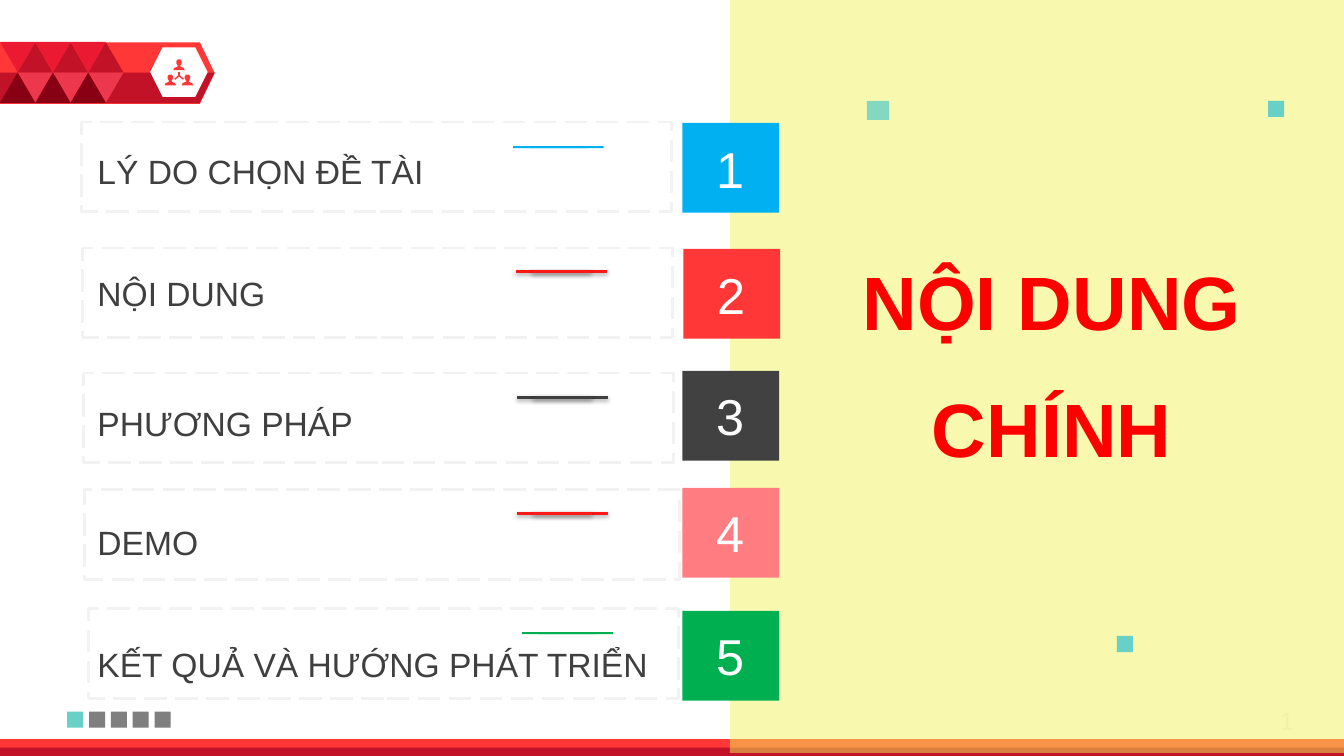
from dataclasses import dataclass
from lxml.etree import SubElement
from pptx import Presentation
from pptx.dml.color import RGBColor
from pptx.enum.dml import MSO_LINE
from pptx.enum.shapes import MSO_CONNECTOR, MSO_SHAPE
from pptx.enum.text import MSO_ANCHOR, MSO_AUTO_SIZE, PP_ALIGN
from pptx.oxml.ns import qn
from pptx.util import Inches, Pt

CELL = Inches(1 / 3)  # the slide is a grid of 40 columns by 22.5 rows
COLS, ROWS = 40, 22.5

WHITE = RGBColor(0xFF, 0xFF, 0xFF)
RED = RGBColor(0xFF, 0x37, 0x37)
DEEP = RGBColor(0xC2, 0x12, 0x27)
MAROON = RGBColor(0x88, 0x00, 0x14)
CRIMSON = RGBColor(0xEB, 0x19, 0x32)
ROSE = RGBColor(0xED, 0x37, 0x4D)
PINK = RGBColor(0xFF, 0x7C, 0x80)
BRIGHT = RGBColor(0xFF, 0x18, 0x18)
TITLE = RGBColor(0xFF, 0x00, 0x00)
BLUE = RGBColor(0x00, 0xB0, 0xF0)
GREEN = RGBColor(0x00, 0xB0, 0x50)
DARK = RGBColor(0x41, 0x41, 0x41)
INK = RGBColor(0x3F, 0x3F, 0x3F)
GRAY = RGBColor(0x7F, 0x7F, 0x7F)
PALE = RGBColor(0xF2, 0xF2, 0xF2)
TEAL = RGBColor(0x68, 0xD0, 0xC6)
YELLOW = RGBColor(0xF1, 0xF4, 0x5B)


@dataclass
class Topic:
    text: str
    gap: float  # points above the line
    fill: RGBColor
    tile: tuple[float, float]
    frame: tuple[float, float, float]
    bar: tuple[float, float]  # centre
    ink: RGBColor
    raised: bool = False


TOPICS = [
    Topic("LÝ DO CHỌN ĐỀ TÀI", 0, BLUE, (20.31, 3.66),
          (2.43, 3.63, 17.55), (16.62, 4.38), BLUE),
    Topic("NỘI DUNG", 58, RED, (20.34, 7.41),
          (2.46, 7.38, 17.55), (16.71, 8.07), BRIGHT, True),
    Topic("PHƯƠNG PHÁP", 64, DARK, (20.31, 11.04),
          (2.49, 11.1, 17.55), (16.74, 11.82), INK, True),
    Topic("DEMO", 56.5, PINK, (20.31, 14.52),
          (2.52, 14.58, 17.7), (16.74, 15.27), BRIGHT, True),
    Topic("KẾT QUẢ VÀ HƯỚNG PHÁT TRIỂN", 58, GREEN, (20.31, 18.18),
          (2.64, 18.12, 17.55), (16.89, 18.84), GREEN),
]


def cells(*sides: float) -> list[int]:
    return [round(side * CELL) for side in sides]


def style(item, **traits) -> None:
    for name, value in traits.items():
        setattr(item, name, value)


def paint(shape, fill: RGBColor | None, alpha: int = 100):
    """Give a flat fill, or none, without line or shadow."""
    shape.shadow.inherit = False
    shape.line.fill.background()
    if fill is None:
        shape.fill.background()
        return shape
    shape.fill.solid()
    shape.fill.fore_color.rgb = fill
    if alpha < 100:
        tone = shape.element.spPr.find(".//" + qn("a:srgbClr"))
        SubElement(tone, qn("a:alpha"), val=str(alpha * 1000))
    return shape


def block(shapes, x: float, y: float, w: float, h: float, fill: RGBColor | None,
          kind=MSO_SHAPE.RECTANGLE, alpha: int = 100):
    return paint(shapes.add_shape(kind, *cells(x, y, w, h)), fill, alpha)


def outline(shapes, points: list[tuple[float, float]], fill: RGBColor) -> None:
    first, *rest = [tuple(cells(*point)) for point in points]
    pen = shapes.build_freeform(*first)
    pen.add_line_segments(rest, close=True)
    paint(pen.convert_to_shape(), fill)


def person(shapes, x: float, y: float) -> None:
    half = [(0.04, 0), (0.08, 0.05), (0.08, 0.12), (0.04, 0.18),
            (0.05, 0.22), (0.14, 0.25), (0.17, 0.32)]
    right = [(x + dx, y + dy) for dx, dy in half]
    left = [(x - dx, y + dy) for dx, dy in reversed(half)]
    outline(shapes, right + left, RED)


def banner(shapes) -> None:
    plate = block(shapes, 0, 1.26, 6.39, 1.83, RED, MSO_SHAPE.PENTAGON)
    plate.adjustments[0] = 0.24
    outline(shapes, [(0, 2.16), (6.39, 2.16), (5.94, 3.07), (0, 3.07)], DEEP)
    block(shapes, 4.47, 1.41, 1.71, 1.47, WHITE, MSO_SHAPE.HEXAGON)
    for x, y in [(5.33, 1.77), (5.07, 2.22), (5.58, 2.22)]:
        person(shapes, x, y)
    for x, y in [(5.33, 2.13), (5.2, 2.36), (5.46, 2.36)]:
        limb = shapes.add_connector(MSO_CONNECTOR.STRAIGHT, *cells(5.33, 2.25, x, y))
        limb.line.color.rgb = RED
        limb.line.width = Pt(1)
        SubElement(limb.element.spPr, qn("a:effectLst"))
    side = 1.05
    for step in range(3):
        for shift, y, turn, fill in [(0, 1.25, 180, CRIMSON), (0.5, 1.26, 0, DEEP),
                                     (0.5, 2.16, 180, ROSE), (0, 2.16, 0, MAROON)]:
            part = block(shapes, (step + shift) * side, y, side, 0.9, fill,
                         MSO_SHAPE.ISOSCELES_TRIANGLE)
            part.rotation = turn


def bar(shapes, topic: Topic) -> None:
    x, y = topic.bar
    for width in (2.7, 1.74):
        strip = block(shapes, x - width / 2, y - 0.03, width, 0.06, topic.ink)
        if topic.raised:
            strip.line.color.rgb = topic.ink
            strip.line.width = Pt(0.75)
            glow = SubElement(strip.element.spPr.find(qn("a:effectLst")),
                              qn("a:outerShdw"), blurRad=str(Pt(3.1)),
                              dist=str(Pt(1.8)), dir="5400000", rotWithShape="0")
            tone = SubElement(glow, qn("a:srgbClr"), val="000000")
            SubElement(tone, qn("a:alpha"), val="35000")


def row(shapes, number: int, topic: Topic) -> None:
    tile = block(shapes, *topic.tile, 2.88, 2.67, topic.fill)
    tile.text_frame.text = str(number)
    line = tile.text_frame.paragraphs[0]
    line.alignment = PP_ALIGN.CENTER
    style(line.runs[0].font, name="Arial", size=Pt(36))
    line.runs[0].font.color.rgb = WHITE
    bar(shapes, topic)
    frame = block(shapes, *topic.frame, 2.67, None)
    frame.line.color.rgb = PALE
    style(frame.line, width=Pt(2), dash_style=MSO_LINE.LONG_DASH)


def write(shapes, holder, box: tuple, lines: list[str], color: RGBColor, **face) -> None:
    """Move a placeholder to the front and fill it with unbulleted lines."""
    shapes.element.append(holder.element)
    style(holder, **dict(zip(("left", "top", "width", "height"), cells(*box))))
    frame = holder.text_frame
    frame.text = "\n".join(lines)
    style(frame, margin_left=0, margin_right=0, margin_top=0, margin_bottom=0,
          word_wrap=True, auto_size=MSO_AUTO_SIZE.NONE, vertical_anchor=MSO_ANCHOR.TOP)
    for line in frame.paragraphs:
        props = line._p.get_or_add_pPr()
        props.set("marL", "0")
        props.set("indent", "0")
        SubElement(props, qn("a:buNone"))
        style(line.runs[0].font, name="Arial", **face)
        line.runs[0].font.color.rgb = color


def folio(shapes) -> None:
    """Add the slide number as a live field."""
    box = shapes.add_textbox(*cells(37.5, 20.9, 1.6, 1.1))
    style(box.text_frame, word_wrap=True, vertical_anchor=MSO_ANCHOR.MIDDLE)
    line = box.text_frame.paragraphs[0]
    line.alignment = PP_ALIGN.CENTER
    field = SubElement(line._p, qn("a:fld"), type="slidenum",
                       id="{B6F15528-21DE-4FAA-801E-634DDDAF4B2B}")
    props = SubElement(field, qn("a:rPr"), lang="vi-VN", sz="1800")
    fill = SubElement(props, qn("a:solidFill"))
    SubElement(fill, qn("a:srgbClr"), val=str(PALE))
    SubElement(props, qn("a:latin"), typeface="Arial")
    SubElement(field, qn("a:t")).text = "1"


def main() -> None:
    deck = Presentation()
    deck.slide_width, deck.slide_height = cells(COLS, ROWS)
    slide = deck.slides.add_slide(deck.slide_layouts[1])
    shapes = slide.shapes
    title, body = slide.placeholders
    banner(shapes)
    block(shapes, 0, 22, COLS, 0.5, RED)
    block(shapes, 0, 22.25, COLS, 0.25, DEEP)
    folio(shapes)
    block(shapes, 21.72, 0, 18.28, 22.41, YELLOW, alpha=49)
    block(shapes, 25.8, 3, 0.66, 0.57, TEAL, alpha=80)
    dots = [(2 + step * 0.65, 21.18, GRAY if step else TEAL) for step in range(5)]
    for x, y, fill in dots + [(33.24, 18.93, TEAL), (37.74, 3, TEAL)]:
        block(shapes, x, y, 0.48, 0.48, fill)
    for number, topic in enumerate(TOPICS, 1):
        row(shapes, number, topic)
    write(shapes, title, (23.3, 6.5, 16, 7.6), ["NỘI DUNG", "CHÍNH"], TITLE,
          size=Pt(54), bold=True)
    for line in title.text_frame.paragraphs:
        style(line, alignment=PP_ALIGN.CENTER, line_spacing=Pt(90.7))
    write(shapes, body, (2.9, 4.5, 17.2, 16), [topic.text for topic in TOPICS], INK,
          size=Pt(24))
    for line, topic in zip(body.text_frame.paragraphs, TOPICS):
        line.space_before = Pt(topic.gap)
    deck.save("out.pptx")


if __name__ == "__main__":
    main()
